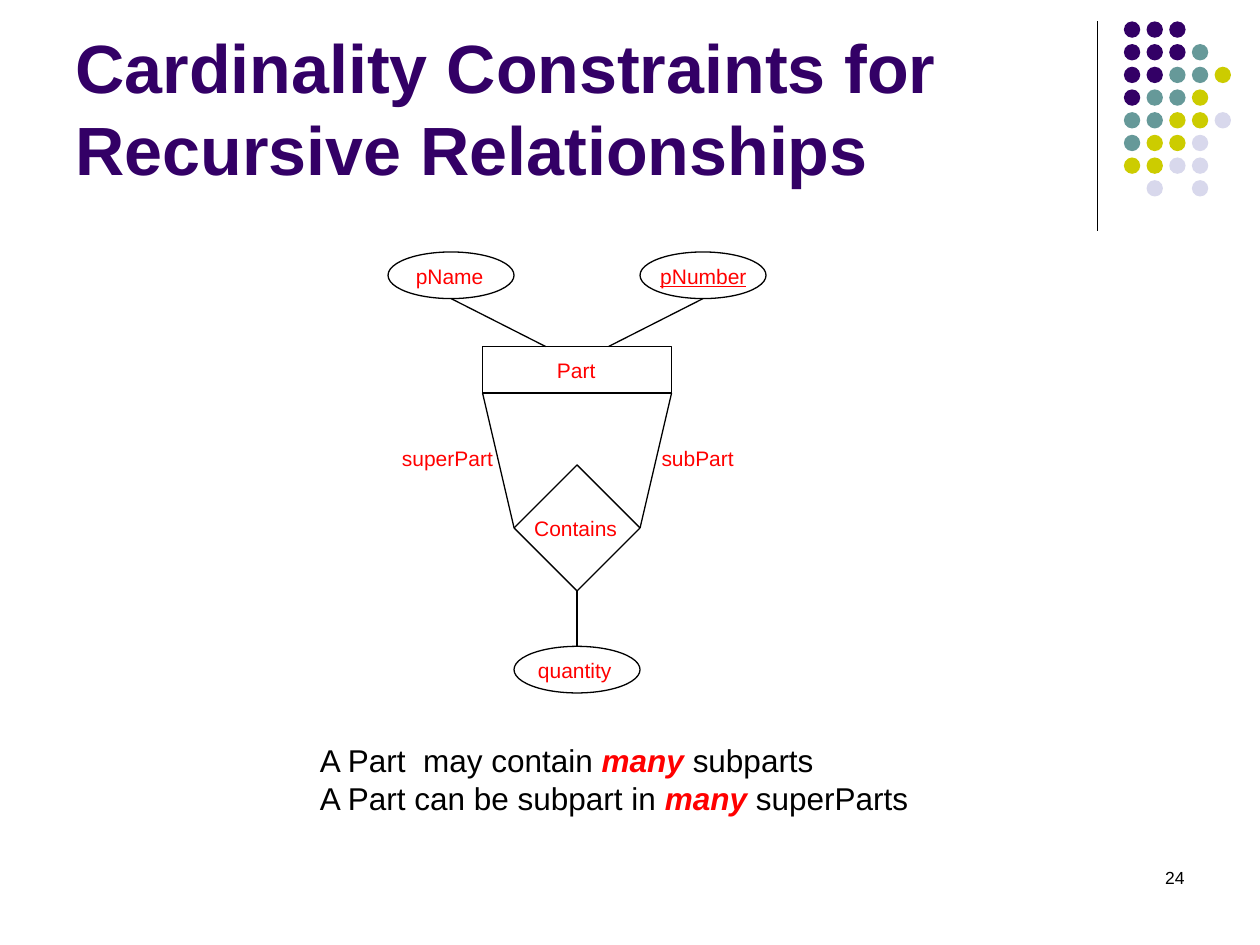
import lxml.etree
import pptx
import pptx.dml.color
import pptx.enum.shapes
import pptx.enum.text
import pptx.oxml.ns
import pptx.util

Inches = pptx.util.Inches
Shapes = pptx.enum.shapes.MSO_SHAPE
Anchor = pptx.enum.text.MSO_ANCHOR
Align = pptx.enum.text.PP_ALIGN
AutoSize = pptx.enum.text.MSO_AUTO_SIZE

BLACK, RED, PURPLE = "000000", "FF0000", "330066"
DOT_COLORS = {"P": PURPLE, "T": "669999", "Y": "CCCC00", "L": "D8D8EC"}
DOT_ROWS = ["PPP", "PPPT", "PPTTY", "PTTY", "TTYYL", "TYYL", "YYLL", ".L.L"]


def rgb(hex_color):
    """Turn a hex string into a colour."""
    return pptx.dml.color.RGBColor.from_string(hex_color)


def add_text(slide, box, paragraphs, size, inset=(0.1, 0.05), wrap=True,
             anchor=Anchor.TOP, align=Align.LEFT):
    """Add a text box whose paragraphs are lists of (text, colour, styles)."""
    frame = slide.shapes.add_textbox(*map(Inches, box)).text_frame
    frame.word_wrap = wrap
    frame.auto_size = AutoSize.NONE if wrap else AutoSize.SHAPE_TO_FIT_TEXT
    frame.vertical_anchor = anchor
    frame.margin_left = frame.margin_right = Inches(inset[0])
    frame.margin_top = frame.margin_bottom = Inches(inset[1])
    for index, pieces in enumerate(paragraphs):
        paragraph = frame.paragraphs[0] if index == 0 else frame.add_paragraph()
        paragraph.alignment = align
        for text, color, styles in pieces:
            run = paragraph.add_run()
            run.text = text
            run.font.name = "Arial"
            run.font.size = pptx.util.Pt(size)
            run.font.color.rgb = rgb(color)
            run.font.bold = "b" in styles
            run.font.italic = "i" in styles
            run.font.underline = "u" in styles


def add_outline(slide, preset, box):
    """Add an unfilled shape with a thin black outline."""
    shape = slide.shapes.add_shape(preset, *map(Inches, box))
    shape.shadow.inherit = False
    shape.fill.background()
    shape.line.color.rgb = rgb(BLACK)
    shape.line.width = pptx.util.Pt(0.75)
    return shape


def add_line(slide, start, end):
    """Add a thin black straight line without a shadow."""
    line = slide.shapes.add_connector(
        pptx.enum.shapes.MSO_CONNECTOR.STRAIGHT, *map(Inches, (*start, *end)))
    line.line.color.rgb = rgb(BLACK)
    line.line.width = pptx.util.Pt(0.75)
    properties = line._element.spPr
    lxml.etree.SubElement(properties, pptx.oxml.ns.qn("a:effectLst"))
    return line


def add_corner_ornament(slide, left, top):
    """Draw the vertical rule and the dot grid beside it."""
    add_line(slide, (left, top), (left, top + 1.66))
    pitch, diameter = 0.18, 0.13
    for row, codes in enumerate(DOT_ROWS):
        for column, code in enumerate(codes):
            if code not in DOT_COLORS:
                continue
            dot = slide.shapes.add_shape(
                Shapes.OVAL, Inches(left + 0.21 + column * pitch),
                Inches(top + row * pitch), Inches(diameter), Inches(diameter))
            dot.shadow.inherit = False
            dot.fill.solid()
            dot.fill.fore_color.rgb = rgb(DOT_COLORS[code])
            dot.line.fill.background()


def add_title(slide, box):
    """Place the slide title at the bottom of its box."""
    title = "Cardinality Constraints for Recursive Relationships"
    add_text(slide, box, [[(title, PURPLE, "b")]], 39, anchor=Anchor.BOTTOM)


def add_label(slide, text, left, top, width, styles=""):
    """Add a small red diagram label."""
    add_text(slide, (left, top, width, 0.2), [[(text, RED, styles)]], 12,
             inset=(0, 0), wrap=False)


def add_er_diagram(slide, left, top):
    """Draw the recursive Part entity with its relationship and attributes."""
    middle = left + 1.5
    attribute_width, height = 1, 0.37
    part_left, part_top, part_width = left + 0.75, top + 0.75, 1.5
    part_right, part_bottom = part_left + part_width, part_top + height
    diamond_top, diamond_size = top + 1.69, 1
    diamond_middle = diamond_top + diamond_size / 2
    quantity_top = top + 3.13

    contains = add_outline(slide, Shapes.DIAMOND,
                           (middle - 0.5, diamond_top, diamond_size, diamond_size))
    add_outline(slide, Shapes.RECTANGLE, (part_left, part_top, part_width, height))
    for attribute_left, attribute_top in (
            (left, top), (left + 2, top), (middle - 0.5, quantity_top)):
        add_outline(slide, Shapes.OVAL,
                    (attribute_left, attribute_top, attribute_width, height))

    for side in (-1, 1):
        add_line(slide, (middle + side, top + height), (middle + side * 0.25, part_top))
    for corner, site in ((part_left, 1), (part_right, 3)):
        role = add_line(slide, (corner, part_bottom), (middle, diamond_middle))
        role.end_connect(contains, site)
    stem = add_line(slide, (middle, diamond_top + diamond_size), (middle, quantity_top))
    stem.begin_connect(contains, 2)

    add_label(slide, "Contains", left + 1.16, top + 2.09, 0.7)
    add_label(slide, "Part", left + 1.34, top + 0.84, 0.35)
    add_label(slide, "pName", left + 0.22, top + 0.09, 0.58)
    add_label(slide, "pNumber", left + 2.16, top + 0.09, 0.73, "u")
    add_label(slide, "subPart", left + 2.17, top + 1.54, 0.62)
    add_label(slide, "superPart", left + 0.11, top + 1.54, 0.78)
    add_label(slide, "quantity", left + 1.19, top + 3.22, 0.64)


def add_explanation(slide, box):
    """State both cardinalities in words."""
    add_text(slide, box, [
        [("A Part  may contain ", BLACK, ""), ("many ", RED, "bi"),
         ("subparts", BLACK, "")],
        [("A Part can be subpart in ", BLACK, ""), ("many", RED, "bi"),
         (" superParts", BLACK, "")],
    ], 18, wrap=False)


def add_page_number(slide, box):
    """Place the page number at the right of its box."""
    add_text(slide, box, [[("24", BLACK, "")]], 10, align=Align.RIGHT)


def main():
    """Build and save the slide."""
    deck = pptx.Presentation()
    deck.slide_width, deck.slide_height = Inches(10), Inches(7.5)
    slide = deck.slides.add_slide(deck.slide_layouts[6])
    add_corner_ornament(slide, 8.71, 0.17)
    add_page_number(slide, (7.17, 6.83, 2.33, 0.5))
    add_title(slide, (0.5, 0.13, 8.25, 1.42))
    add_explanation(slide, (2.44, 5.83, 4.88, 0.7))
    add_er_diagram(slide, 3.08, 2)
    deck.save("out.pptx")


if __name__ == "__main__":
    main()
